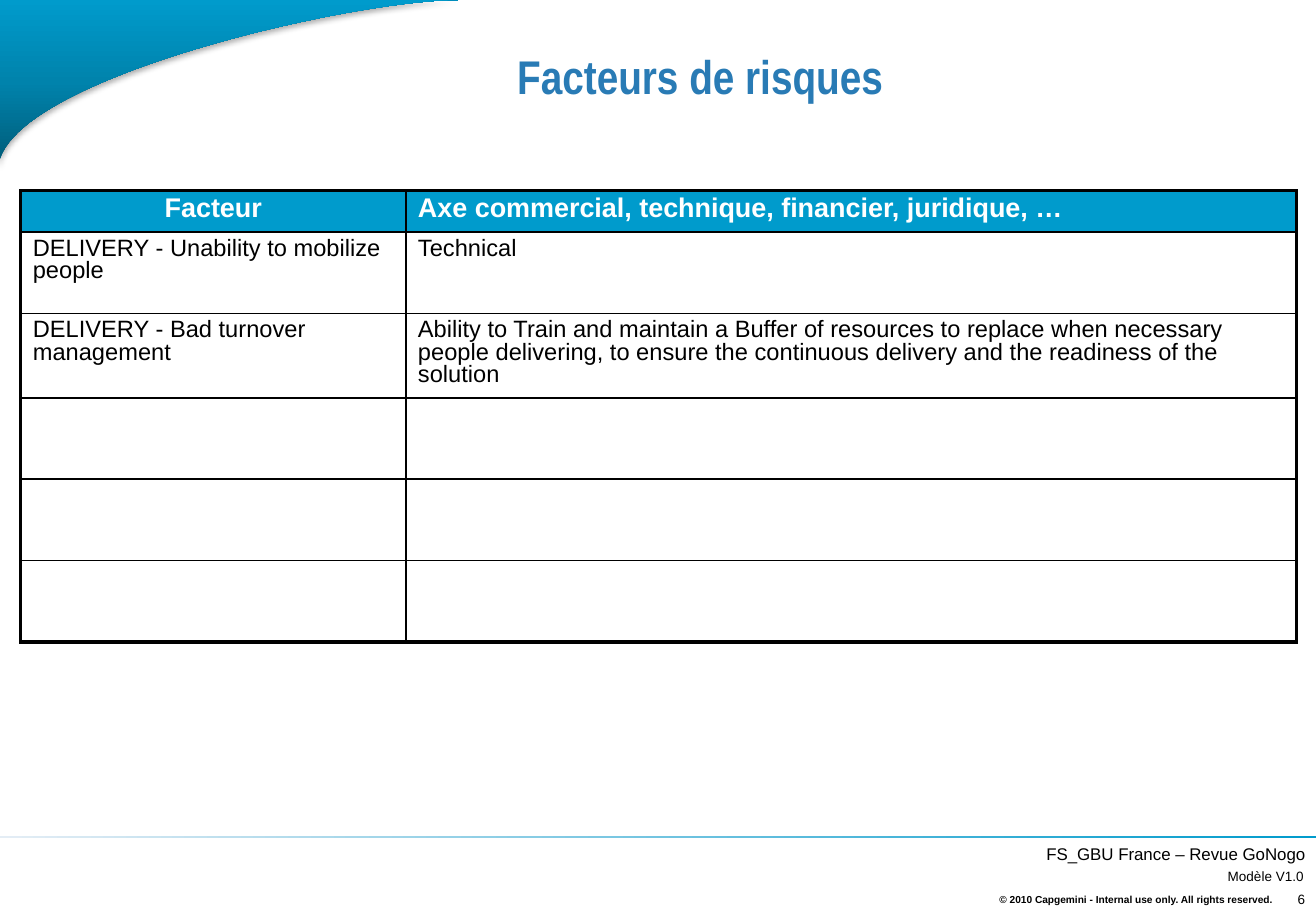
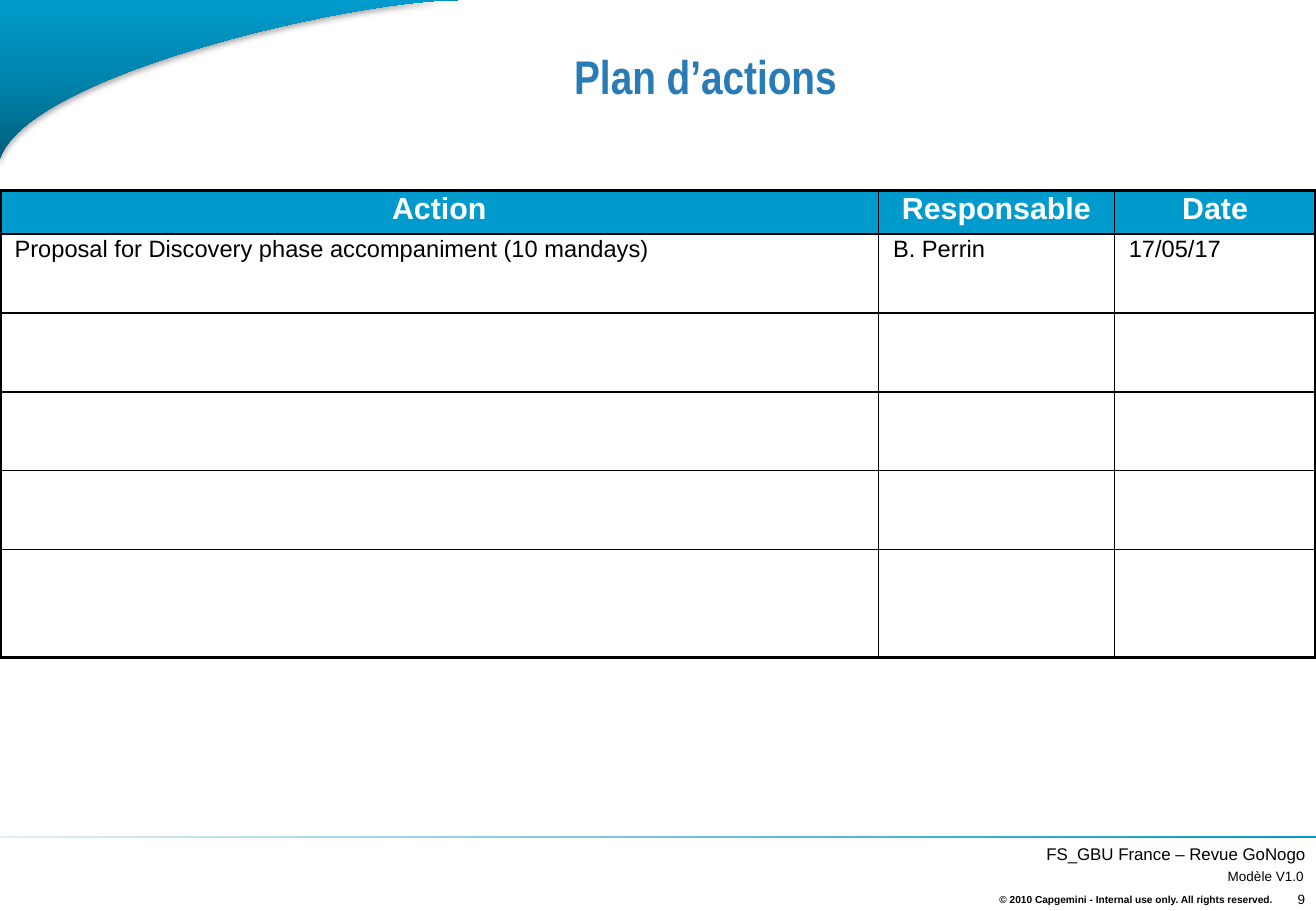
from lxml import etree
from pptx import Presentation
from pptx.dml.color import RGBColor
from pptx.enum.shapes import MSO_SHAPE
from pptx.enum.text import MSO_ANCHOR, MSO_AUTO_SIZE, PP_ALIGN
from pptx.oxml.ns import qn
from pptx.util import Inches, Pt

LEFT, CENTER, RIGHT = PP_ALIGN.LEFT, PP_ALIGN.CENTER, PP_ALIGN.RIGHT
TOP, MIDDLE = MSO_ANCHOR.TOP, MSO_ANCHOR.MIDDLE
RECTANGLE = MSO_SHAPE.RECTANGLE
NO_AUTOFIT = MSO_AUTO_SIZE.NONE

BLACK = RGBColor(0x00, 0x00, 0x00)
WHITE = RGBColor(0xFF, 0xFF, 0xFF)
CYAN = RGBColor(0x00, 0x9B, 0xCC)
TEAL = RGBColor(0x00, 0x83, 0xAC)
DARK_TEAL = RGBColor(0x00, 0x5C, 0x79)
PALE_BLUE = RGBColor(0xE4, 0xED, 0xF5)
TITLE_BLUE = RGBColor(0x29, 0x7B, 0xB5)

SLIDE_WIDTH, SLIDE_HEIGHT = 10.83, 7.5
TABLE_TOP = 1.57
OUTER_BORDER, INNER_BORDER = 2.25, 1
CURVE = ((-0.01, 1.35), (0.11, 0.64), (2.89, 0), (3.77, 0))
CURVE_STEPS = 48

FOOTER_TEXTS = (
    ("FS_GBU France – Revue GoNogo", (8, 6.9, 2.82, 0.27), (0.04, 0.05, 0.08, 0.05), TOP, 10, False, 1.0),
    ("Modèle V1.0", (9.22, 7.17, 1.55, 0.11), (0.04, 0, 0.04, 0), MIDDLE, 8, False, 0.85),
    ("© 2010 Capgemini - Internal use only. All rights reserved.",
     (7.42, 7.32, 3.15, 0.18), (0.1, 0.05, 0.1, 0.05), TOP, 6, True, 0.85),
)


def set_values(target, values):
    for name, value in values.items():
        setattr(target, name, value)


def set_box(shape, box):
    set_values(shape, dict(zip(("left", "top", "width", "height"), map(Inches, box))))


def set_margins(target, margins):
    names = ("margin_left", "margin_top", "margin_right", "margin_bottom")
    set_values(target, dict(zip(names, map(Inches, margins))))


def write_text(text_frame, text, size, color=BLACK, bold=False, alignment=LEFT,
               line_spacing=0.85, font="Arial"):
    paragraph = text_frame.paragraphs[0]
    set_values(paragraph, {"alignment": alignment, "line_spacing": line_spacing})
    run = paragraph.add_run()
    run.text = text
    set_values(run.font, {"name": font, "size": Pt(size), "bold": bold})
    run.font.color.rgb = color


def add_text(slide, text, box, margins, anchor, size, bold, line_spacing):
    text_frame = slide.shapes.add_textbox(*map(Inches, box)).text_frame
    set_margins(text_frame, margins)
    set_values(text_frame, {"word_wrap": True, "vertical_anchor": anchor})
    write_text(text_frame, text, size, bold=bold, alignment=RIGHT, line_spacing=line_spacing)


def set_gradient(shape, stops, angle):
    shape.line.fill.background()
    shape.shadow.inherit = False
    shape.fill.gradient()
    shape.fill.gradient_angle = angle
    stop_list = shape.element.spPr.find(qn("a:gradFill")).find(qn("a:gsLst"))
    for stop in list(stop_list):
        stop_list.remove(stop)
    for position, color in stops:
        stop = etree.SubElement(stop_list, qn("a:gs"), pos=str(position * 1000))
        etree.SubElement(stop, qn("a:srgbClr"), val=str(color))


def add_shadow(shape, blur, distance, opacity):
    effects = shape.element.spPr.find(qn("a:effectLst"))
    shadow = etree.SubElement(effects, qn("a:outerShdw"), blurRad=str(Pt(blur)),
                              dist=str(Pt(distance)), dir="5400000", rotWithShape="0")
    color = etree.SubElement(shadow, qn("a:srgbClr"), val=str(BLACK))
    etree.SubElement(color, qn("a:alpha"), val=str(opacity * 1000))


def curve_point(t):
    weights = ((1 - t) ** 3, 3 * t * (1 - t) ** 2, 3 * t ** 2 * (1 - t), t ** 3)
    return tuple(Inches(sum(weight * point[axis] for weight, point in zip(weights, CURVE)))
                 for axis in (0, 1))


def add_corner(slide):
    builder = slide.shapes.build_freeform(Inches(CURVE[0][0]), 0)
    builder.add_line_segments([curve_point(step / CURVE_STEPS) for step in range(CURVE_STEPS + 1)])
    corner = builder.convert_to_shape()
    set_gradient(corner, ((0, DARK_TEAL), (50, TEAL), (100, CYAN)), 90)
    add_shadow(corner, 3.5, 2.2, 32)


def add_footer(slide, number):
    rule = slide.shapes.add_shape(RECTANGLE, *map(Inches, (-0.01, 6.88, 10.84, 0.02)))
    set_gradient(rule, ((0, PALE_BLUE), (100, CYAN)), 0)
    for footer_text in FOOTER_TEXTS:
        add_text(slide, *footer_text)
    add_text(slide, str(number), (10.5, 7.36, 0.28, 0.11), (0.04, 0, 0.04, 0), MIDDLE, 8, False, 0.85)


def add_slide(presentation, title, number):
    slide = presentation.slides.add_slide(presentation.slide_layouts[5])
    add_corner(slide)
    add_footer(slide, number)
    set_box(slide.shapes.title, (0, 0, SLIDE_WIDTH, 1.3))
    text_frame = slide.shapes.title.text_frame
    set_margins(text_frame, (0.88, 0.05, 0.1, 0.05))
    set_values(text_frame, {"word_wrap": True, "vertical_anchor": MIDDLE, "auto_size": NO_AUTOFIT})
    write_text(text_frame, title, 28, TITLE_BLUE, True, CENTER, 0.9, "Arial Narrow")
    return slide


def set_borders(cell, outer_sides):
    properties = cell._tc.get_or_add_tcPr()
    for side, is_outer in zip("LRTB", outer_sides):
        width = OUTER_BORDER if is_outer else INNER_BORDER
        line = etree.SubElement(properties, qn(f"a:ln{side}"), w=str(Pt(width)))
        fill = etree.SubElement(line, qn("a:solidFill"))
        etree.SubElement(fill, qn("a:srgbClr"), val=str(BLACK))


def add_table(slide, left, widths, heights, rows, header_size, header_alignments, side_margin):
    box = (left, TABLE_TOP, sum(widths), sum(heights))
    table = slide.shapes.add_table(len(heights), len(widths), *map(Inches, box)).table
    set_values(table, {"first_row": False, "horz_banding": False})
    for column, width in zip(table.columns, widths):
        column.width = Inches(width)
    for row, height in zip(table.rows, heights):
        row.height = Inches(height)
    last_row, last_column = len(heights) - 1, len(widths) - 1
    for row in range(len(heights)):
        for column in range(len(widths)):
            cell = table.cell(row, column)
            set_margins(cell, (side_margin, 0.05, side_margin, 0.05))
            set_borders(cell, (column == 0, column == last_column, row == 0, row == last_row))
            if row == 0:
                cell.fill.solid()
                cell.fill.fore_color.rgb = CYAN
                write_text(cell.text_frame, rows[row][column], header_size, WHITE, True,
                           header_alignments[column])
            else:
                cell.fill.background()
                if row < len(rows):
                    write_text(cell.text_frame, rows[row][column], 14)


def main():
    presentation = Presentation()
    set_values(presentation, {"slide_width": Inches(SLIDE_WIDTH), "slide_height": Inches(SLIDE_HEIGHT)})

    risks = add_slide(presentation, "Facteurs de risques ", 6)
    risk_rows = (
        ("Facteur", "Axe commercial, technique, financier, juridique, …"),
        ("DELIVERY - Unability to mobilize people", "Technical"),
        ("DELIVERY - Bad turnover management",
         "Ability to Train and maintain a Buffer of resources to replace when necessary people "
         "delivering, to ensure the continuous delivery and the readiness of the solution"),
    )
    add_table(risks, 0.17, (3.17, 7.33), [0.34] + [0.67] * 5, risk_rows, 16, (CENTER, LEFT), 0.1)

    actions = add_slide(presentation, "Plan d’actions", 9)
    action_rows = (
        ("Action", "Responsable", "Date"),
        ("Proposal for Discovery phase accompaniment (10 mandays)", "B. Perrin", "17/05/17"),
    )
    add_table(actions, 0, (7.23, 1.94, 1.66), [0.34] + [0.65] * 4 + [0.89], action_rows, 18,
              (CENTER,) * 3, 0.12)

    presentation.save("out.pptx")


if __name__ == "__main__":
    main()
